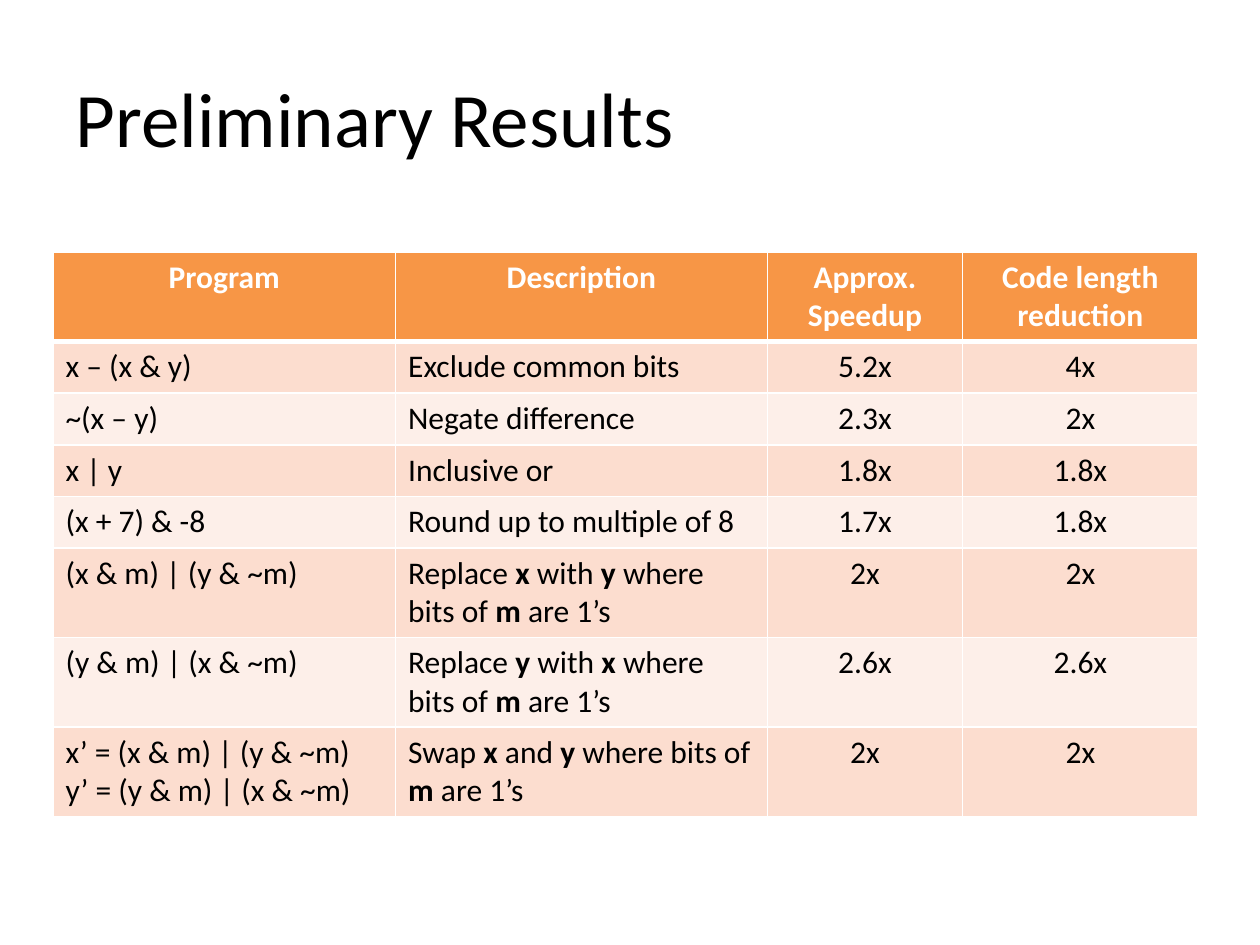
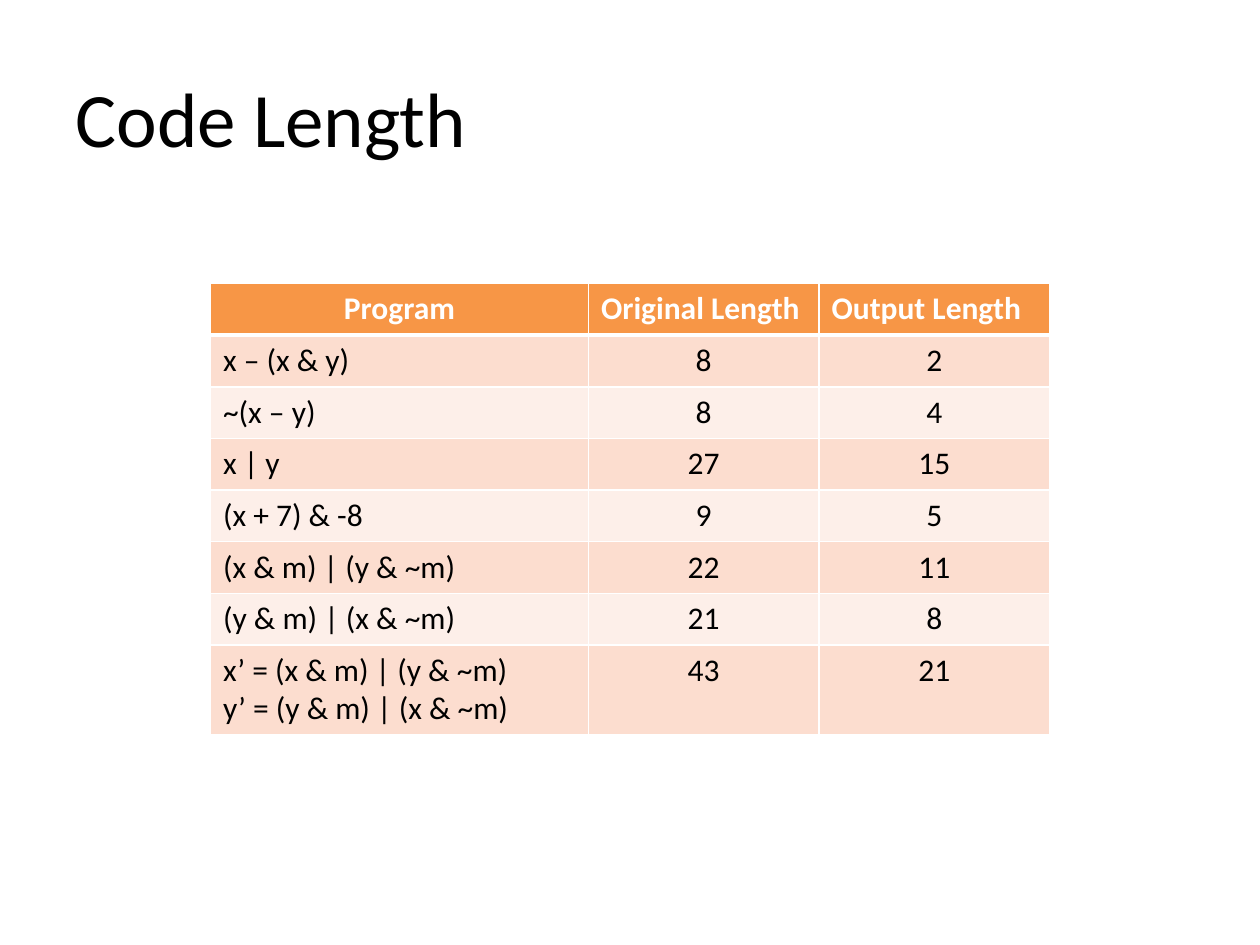
from dataclasses import dataclass

from lxml import etree
from pptx import Presentation
from pptx.dml.color import RGBColor
from pptx.enum.text import MSO_ANCHOR, PP_ALIGN
from pptx.oxml.ns import qn
from pptx.util import Inches, Pt

LEFT, CENTER = PP_ALIGN.LEFT, PP_ALIGN.CENTER
MIDDLE = MSO_ANCHOR.MIDDLE
TITLE_ONLY = 5


@dataclass(frozen=True)
class Theme:
    font: str = "Calibri"
    title_size: int = 44
    table_size: int = 18
    text: str = "000000"
    header_text: str = "FFFFFF"
    header_fill: str = "F79646"
    band_fills: tuple[str, str] = ("FCDDCF", "FDEFE9")
    border: str = "FFFFFF"
    border_width: int = 1
    header_rule_width: int = 3


@dataclass(frozen=True)
class ResultTable:
    title: str
    left: float
    top: float
    height: float
    header_height: float
    widths: list[float]
    header: list[str]
    header_aligns: list[PP_ALIGN]
    aligns: list[PP_ALIGN]
    rows: list[tuple[str, ...]]


THEME = Theme()
ROW_HEIGHT = 0.41

PROGRAMS = [
    "x – (x & y)",
    "~(x – y)",
    "x | y",
    "(x + 7) & -8",
    "(x & m) | (y & ~m)",
    "(y & m) | (x & ~m)",
    "x’ = (x & m) | (y & ~m)\ny’ = (y & m) | (x & ~m)",
]
DESCRIPTIONS = [
    "Exclude common bits",
    "Negate difference",
    "Inclusive or",
    "Round up to multiple of 8",
    "Replace *x* with *y* where bits of *m* are 1’s",
    "Replace *y* with *x* where bits of *m* are 1’s",
    "Swap *x* and *y* where bits of *m* are 1’s",
]
SPEEDUPS = ["5.2x", "2.3x", "1.8x", "1.7x", "2x", "2.6x", "2x"]
REDUCTIONS = ["4x", "2x", "1.8x", "1.8x", "2x", "2.6x", "2x"]
ORIGINAL_LENGTHS = ["8", "8", "27", "9", "22", "21", "43"]
OUTPUT_LENGTHS = ["2", "4", "15", "5", "11", "8", "21"]

TABLES = [
    ResultTable(
        title="Preliminary Results",
        left=0.42, top=2, height=4.42, header_height=0.45,
        widths=[2.72, 2.95, 1.55, 1.87],
        header=["Program", "Description", "Approx. Speedup", "Code length reduction"],
        header_aligns=[CENTER] * 4,
        aligns=[LEFT, LEFT, CENTER, CENTER],
        rows=list(zip(PROGRAMS, DESCRIPTIONS, SPEEDUPS, REDUCTIONS)),
    ),
    ResultTable(
        title="Code Length",
        left=1.67, top=2.25, height=3.83, header_height=ROW_HEIGHT,
        widths=[3, 1.83, 1.83],
        header=["Program", "Original Length", "Output Length"],
        header_aligns=[CENTER, LEFT, LEFT],
        aligns=[LEFT, CENTER, CENTER],
        rows=list(zip(PROGRAMS, ORIGINAL_LENGTHS, OUTPUT_LENGTHS)),
    ),
]


def write_text(tf, text: str, *, size: int, color: str, align=LEFT, bold=False) -> None:
    """Write one paragraph per line; parts between asterisks are bold."""
    for i, line in enumerate(text.split("\n")):
        p = tf.paragraphs[0] if i == 0 else tf.add_paragraph()
        p.alignment = align
        for j, part in enumerate(line.split("*")):
            if not part:
                continue
            r = p.add_run()
            r.text = part
            r.font.name = THEME.font
            r.font.size = Pt(size)
            r.font.bold = bold or j % 2 == 1
            r.font.color.rgb = RGBColor.from_string(color)


def set_borders(cell, *, top: int, bottom: int) -> None:
    """Draw the cell's four borders, with the top and bottom widths in points."""
    tc_pr = cell._tc.get_or_add_tcPr()
    widths = {"lnL": THEME.border_width, "lnR": THEME.border_width,
              "lnT": top, "lnB": bottom}
    for i, (tag, width) in enumerate(widths.items()):
        ln = etree.Element(qn(f"a:{tag}"), w=str(Pt(width)))
        fill = etree.SubElement(ln, qn("a:solidFill"))
        etree.SubElement(fill, qn("a:srgbClr"), val=THEME.border)
        tc_pr.insert(i, ln)


def add_title(s, text: str) -> None:
    title = s.shapes.title
    title.left, title.top = Inches(0.5), Inches(0.3)
    title.width, title.height = Inches(9), Inches(1.25)
    title.text_frame.vertical_anchor = MIDDLE
    write_text(title.text_frame, text, size=THEME.title_size, color=THEME.text)


def add_result_table(s, spec: ResultTable) -> None:
    rows = [spec.header, *spec.rows]
    frame = s.shapes.add_table(
        len(rows), len(spec.widths), Inches(spec.left), Inches(spec.top),
        Inches(sum(spec.widths)), Inches(spec.height))
    table = frame.table
    for column, width in zip(table.columns, spec.widths):
        column.width = Inches(width)
    for i, texts in enumerate(rows):
        is_header = i == 0
        table.rows[i].height = Inches(spec.header_height if is_header else ROW_HEIGHT)
        fill = THEME.header_fill if is_header else THEME.band_fills[(i - 1) % 2]
        aligns = spec.header_aligns if is_header else spec.aligns
        for j, (text, align) in enumerate(zip(texts, aligns)):
            cell = table.cell(i, j)
            cell.fill.solid()
            cell.fill.fore_color.rgb = RGBColor.from_string(fill)
            set_borders(
                cell,
                top=THEME.header_rule_width if i == 1 else THEME.border_width,
                bottom=THEME.header_rule_width if is_header else THEME.border_width)
            write_text(cell.text_frame, text, size=THEME.table_size, align=align,
                       color=THEME.header_text if is_header else THEME.text,
                       bold=is_header)
    frame.height = Inches(spec.height)


def main() -> None:
    prs = Presentation()
    prs.slide_width, prs.slide_height = Inches(10), Inches(7.5)
    for result in TABLES:
        s = prs.slides.add_slide(prs.slide_layouts[TITLE_ONLY])
        add_title(s, result.title)
        add_result_table(s, result)
    prs.save("out.pptx")


if __name__ == "__main__":
    main()
